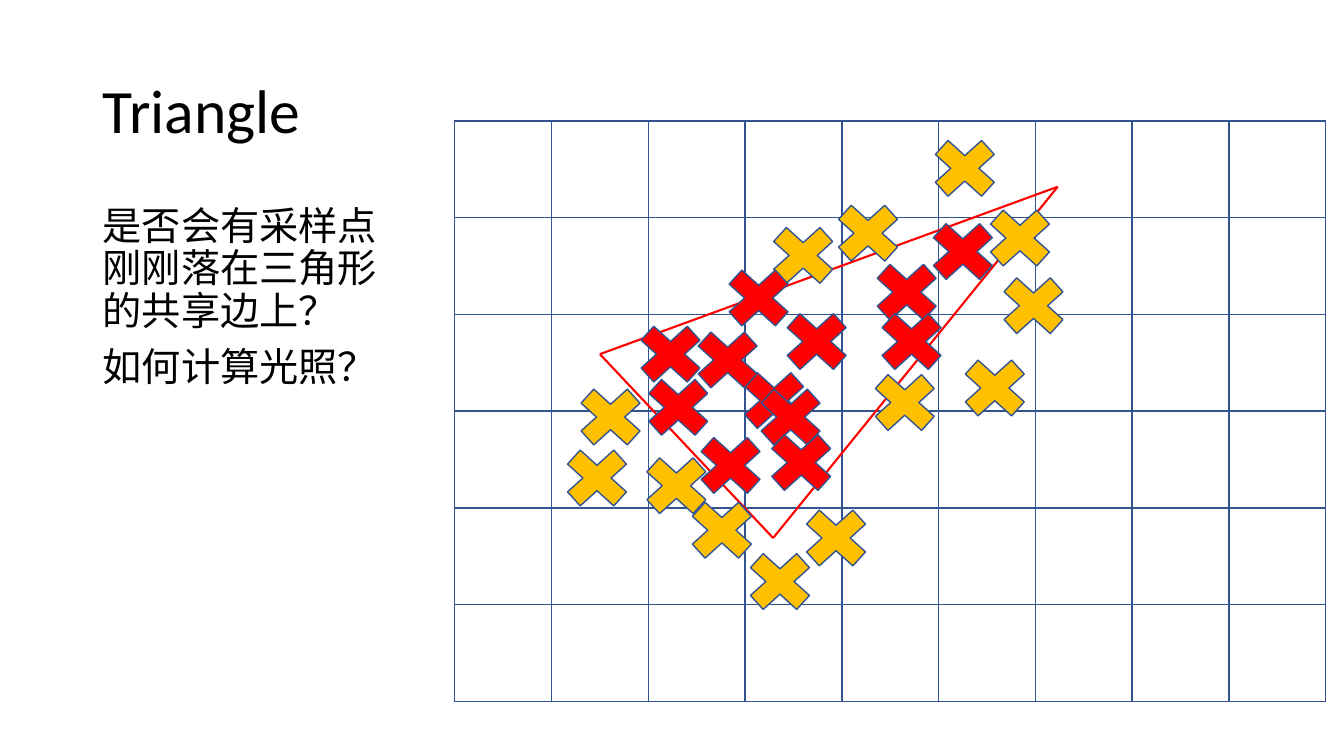
import pptx
import pptx.util
import pptx.enum.shapes
import pptx.enum.text
import pptx.dml.color
import lxml.etree
import itertools

COLORS = {"text": "000000", "grid": "325491", "triangle": "FF0000", "inside": "FF0000", "outside": "FFC000"}
COLUMNS, ROWS = 9, 6
CELL = pptx.util.Inches(0.96)
GRID_LEFT, GRID_TOP = pptx.util.Inches(4.51), pptx.util.Inches(1.2)
MARKER_WIDTH, MARKER_HEIGHT = 0.92, 0.83
SHAPES = pptx.enum.shapes.MSO_SHAPE


def grid_point(column, row):
    return int(GRID_LEFT + column * CELL), int(GRID_TOP + row * CELL)


def add_grid_shape(kind, column, row, width, height, fill=None):
    shape = slide.shapes.add_shape(kind, *grid_point(column, row), int(width * CELL), int(height * CELL))
    shape.shadow.inherit = False
    if fill:
        shape.fill.solid()
        shape.fill.fore_color.rgb = pptx.dml.color.RGBColor.from_string(COLORS[fill])
    else:
        shape.fill.background()
    shape.line.color.rgb = pptx.dml.color.RGBColor.from_string(COLORS["grid"])
    shape.line.width = pptx.util.Pt(1)


presentation = pptx.Presentation()
presentation.slide_width = pptx.util.Inches(13.33)
presentation.slide_height = pptx.util.Inches(7.5)
slide = presentation.slides.add_slide(presentation.slide_layouts[1])

placeholders = [
    (slide.shapes.title, (0.92, 0.4, 11.5, 1.45), 44, 0, pptx.enum.text.MSO_ANCHOR.MIDDLE, ["Triangle"]),
    (slide.placeholders[1], (0.92, 2, 3.16, 4.76), 28, 10, pptx.enum.text.MSO_ANCHOR.TOP,
     ["是否会有采样点刚刚落在三角形的共享边上？", "如何计算光照？"]),
]
for placeholder, box, size, space, anchor, lines in placeholders:
    for name, value in zip(("left", "top", "width", "height"), box):
        setattr(placeholder, name, pptx.util.Inches(value))
    frame = placeholder.text_frame
    frame.text = "\n".join(lines)
    frame_format = {"word_wrap": True, "auto_size": pptx.enum.text.MSO_AUTO_SIZE.NONE, "vertical_anchor": anchor}
    for name, value in frame_format.items():
        setattr(frame, name, value)
    paragraph_format = {
        "alignment": pptx.enum.text.PP_ALIGN.LEFT,
        "line_spacing": 0.9,
        "space_before": pptx.util.Pt(space),
    }
    for paragraph in frame.paragraphs:
        for name, value in paragraph_format.items():
            setattr(paragraph, name, value)
        for name, value in {"name": "Calibri", "size": pptx.util.Pt(size)}.items():
            setattr(paragraph.font, name, value)
        paragraph.font.color.rgb = pptx.dml.color.RGBColor.from_string(COLORS["text"])
        properties = paragraph._p.get_or_add_pPr()
        properties.set("marL", "0")
        properties.set("indent", "0")
        bullet = lxml.etree.Element(pptx.oxml.ns.qn("a:buNone"))
        properties.insert_element_before(bullet, "a:tabLst", "a:defRPr", "a:extLst")

add_grid_shape(SHAPES.RECTANGLE, 0, 0, COLUMNS, ROWS)
for row in range(ROWS):
    add_grid_shape(SHAPES.RECTANGLE, 0, row, COLUMNS, 1)
for column in range(COLUMNS):
    add_grid_shape(SHAPES.RECTANGLE, column, 0, 1, ROWS)

triangle_corners = [(1.5, 2.41), (6.23, 0.68), (3.29, 4.31)]
for start, end in itertools.combinations(triangle_corners, 2):
    edge = slide.shapes.add_connector(
        pptx.enum.shapes.MSO_CONNECTOR.STRAIGHT, *grid_point(*start), *grid_point(*end))
    edge.line.color.rgb = pptx.dml.color.RGBColor.from_string(COLORS["triangle"])
    edge.line.width = pptx.util.Pt(1.5)
    lxml.etree.SubElement(edge._element.spPr, pptx.oxml.ns.qn("a:effectLst"))

sample_points = [
    (5.98, 1.91, "outside"), (5.58, 2.76, "outside"), (5.27, 0.49, "outside"),
    (5.25, 1.35, "inside"), (5.84, 1.21, "outside"), (4.27, 1.16, "outside"),
    (4.67, 1.77, "inside"), (4.72, 2.28, "inside"), (4.65, 2.91, "outside"),
    (3.74, 2.28, "inside"), (3.6, 1.39, "outside"), (3.14, 1.83, "inside"),
    (3.3, 2.89, "inside"), (3.47, 3.06, "inside"), (3.58, 3.53, "inside"),
    (2.29, 3.77, "outside"), (2.82, 2.47, "inside"), (2.23, 2.41, "inside"),
    (2.31, 2.96, "inside"), (1.61, 3.06, "outside"), (1.47, 3.69, "outside"),
    (2.85, 3.56, "inside"), (2.76, 4.23, "outside"), (3.36, 4.76, "outside"),
    (3.94, 4.31, "outside"),
]
for column, row, side in sample_points:
    add_grid_shape(SHAPES.MATH_MULTIPLY, column - MARKER_WIDTH / 2, row - MARKER_HEIGHT / 2,
                   MARKER_WIDTH, MARKER_HEIGHT, side)

presentation.save("out.pptx")
